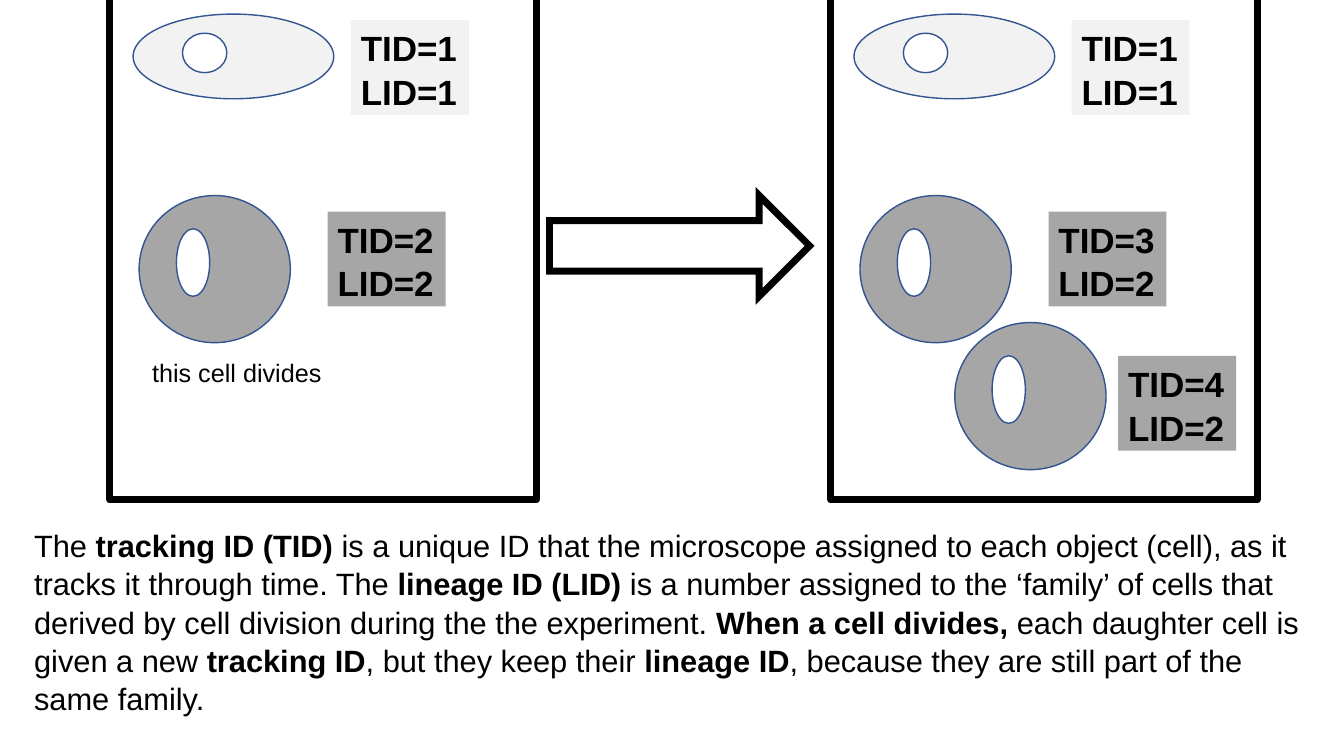
from pptx import Presentation
from pptx.dml.color import RGBColor
from pptx.enum import shapes, text
from pptx.oxml import ns
from pptx.util import Inches, Pt
from lxml import etree

BLACK = RGBColor(0, 0, 0)
WHITE = RGBColor(255, 255, 255)
PALE = RGBColor(0xF2, 0xF2, 0xF2)
GREY = RGBColor(0xA6, 0xA6, 0xA6)
BLUE = RGBColor(0x32, 0x54, 0x91)
KIND = shapes.MSO_SHAPE
SHIFT = 7.15
STORY = [
    ("The ", False), ("tracking ID (TID) ", True),
    ("is a unique ID that the microscope assigned to each object (cell), "
     "as it tracks it through time. The ", False),
    ("lineage ID (LID) ", True),
    ("is a number assigned to the ‘family’ of cells that derived by cell "
     "division during the the experiment. ", False),
    ("When a cell divides, ", True),
    ("each daughter cell is given a new ", False), ("tracking ID", True),
    (", but they keep their ", False), ("lineage ID", True),
    (", because they are still part of the same family.", False),
]


def add(tree, kind, box, fill=None, line=None, width=1, join=None):
    shape = tree.add_shape(kind, *map(Inches, box))
    shape.shadow.inherit = False
    if fill is None:
        shape.fill.background()
    else:
        shape.fill.solid()
        shape.fill.fore_color.rgb = fill
    if line is None:
        shape.line.fill.background()
    else:
        shape.line.color.rgb = line
        shape.line.width = Pt(width)
    if join:
        etree.SubElement(shape.line._get_or_add_ln(), ns.qn("a:" + join))
    return shape


def style(para, size, bold=None):
    para.alignment = text.PP_ALIGN.LEFT
    para.line_spacing = 1.04
    para.font.name = "Arial"
    para.font.size = Pt(size)
    para.font.bold = bold
    para.font.color.rgb = BLACK


def label(tree, left, top, track, line, fill):
    shape = add(tree, KIND.RECTANGLE, (left, top, 1.17, 0.94), fill)
    frame = shape.text_frame
    frame.word_wrap = False
    frame.vertical_anchor = text.MSO_ANCHOR.TOP
    frame.text = f"TID={track}\nLID={line}"
    for para in frame.paragraphs:
        style(para, 25, True)


def cell(tree, body, core, fill):
    group = tree.add_group_shape()
    add(group.shapes, KIND.OVAL, body, fill, BLUE)
    add(group.shapes, KIND.OVAL, core, WHITE, BLUE)


def flat(tree, left):
    cell(tree, (left, 0.14, 1.99, 0.84), (left + 0.49, 0.33, 0.44, 0.39), PALE)


def round_cell(tree, left, top):
    cell(tree, (left, top, 1.5, 1.46),
         (left + 0.37, top + 0.33, 0.33, 0.67), GREY)


def panel(tree, left, track):
    add(tree, KIND.RECTANGLE, (left, -0.13, 4.23, 5.09),
        line=BLACK, width=5, join="round")
    label(tree, left + 2.39, 0.2, 1, 1, PALE)
    flat(tree, left + 0.23)
    label(tree, left + 2.16, 2.1, track, 2, GREY)
    round_cell(tree, left + 0.29, 1.94)


def note(tree, box, runs, size, wrap):
    frame = tree.add_textbox(*map(Inches, box)).text_frame
    frame.word_wrap = wrap
    para = frame.paragraphs[0]
    style(para, size)
    for words, bold in runs:
        run = para.add_run()
        run.text = words
        run.font.bold = bold


def main():
    """Draw two panels that show how cell IDs change on division."""
    deck = Presentation()
    deck.slide_width, deck.slide_height = Inches(13.33), Inches(7.5)
    tree = deck.slides.add_slide(deck.slide_layouts[6]).shapes
    for step, track in enumerate((2, 3)):
        panel(tree, 1.09 + step * SHIFT, track)
    label(tree, 11.09, 3.53, 4, 2, GREY)
    round_cell(tree, 9.47, 3.2)
    note(tree, (1.41, 3.48, 1.9, 0.4), [("this cell divides", False)],
         18, False)
    add(tree, KIND.RIGHT_ARROW, (5.45, 1.94, 2.58, 1),
        line=BLACK, width=5, join="miter")
    note(tree, (0.24, 5.16, 12.86, 1.95), STORY, 22, True)
    deck.save("out.pptx")


if __name__ == "__main__":
    main()
